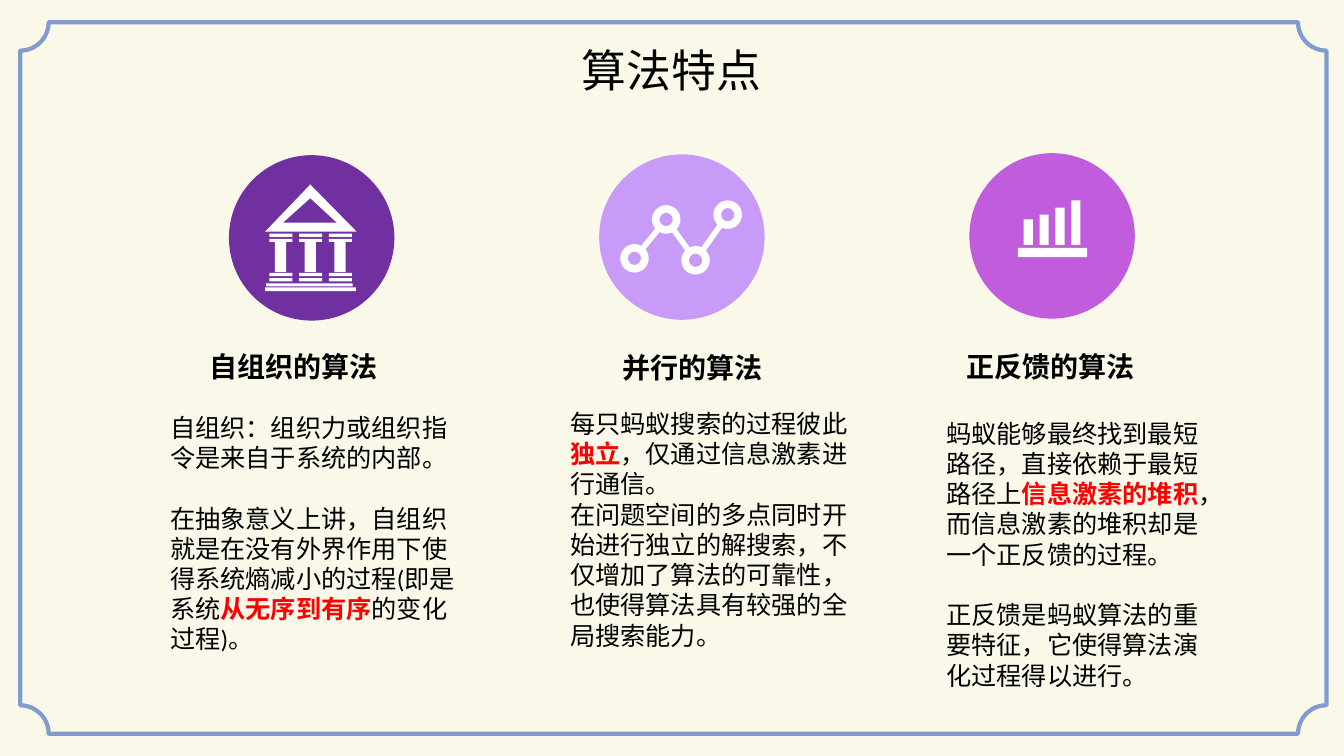
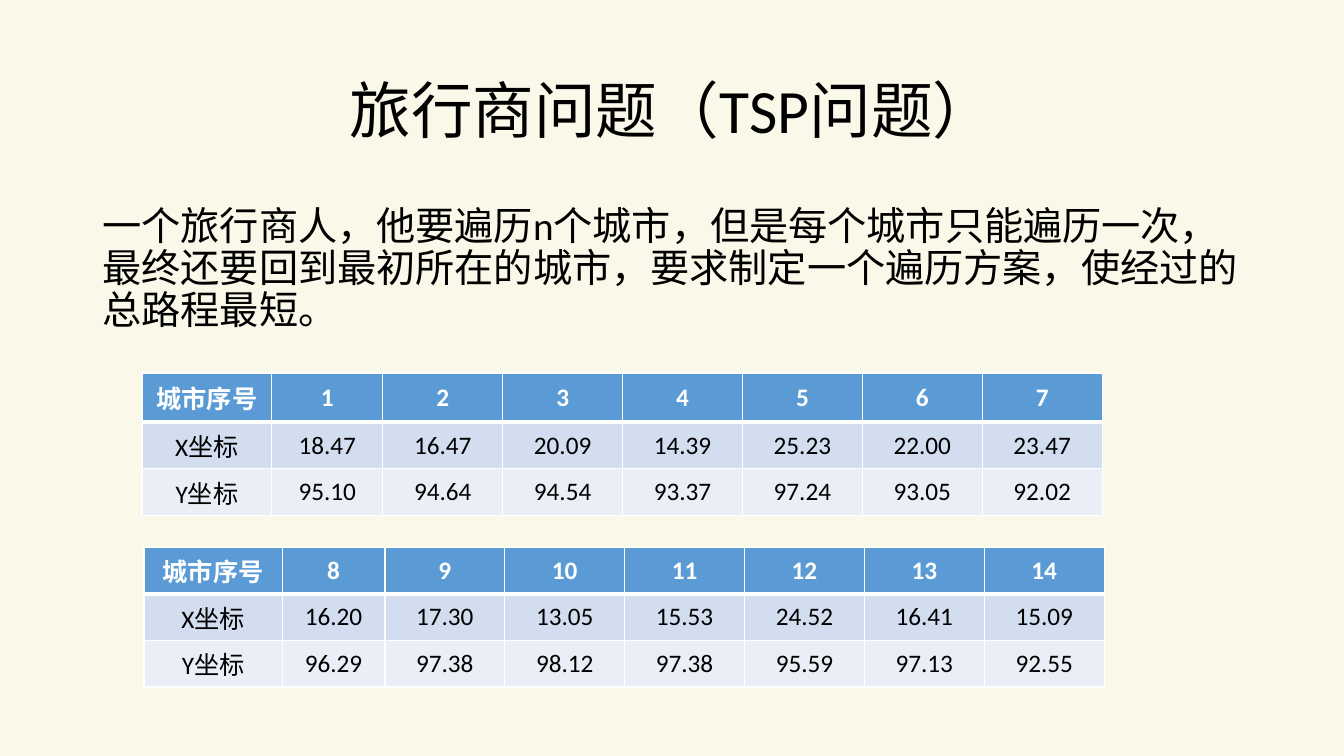
from dataclasses import dataclass
from itertools import pairwise

from pptx import Presentation
from pptx import util as u
from pptx.dml import color as c
from pptx.enum import lang, shapes, text
from pptx.oxml import xmlchemy as x

# Content; words between asterisks are emphasised
FEATURES_TITLE = "算法特点"
FEATURES = [
    {
        "heading": "自组织的算法",
        "paragraphs": [
            "自组织：组织力或组织指令是来自于系统的内部。",
            "在抽象意义上讲，自组织就是在没有外界作用下使得系统熵减小的过程(即是系统*从无序到有序*的变化过程)。",
        ],
        "gap": 21.6,
        "circle_top": 3.91,
        "heading_box": (5.03, 8.69, 4.78, 1.12),
        "body_box": (4.04, 10.26, 7.85, 6.4),
    },
    {
        "heading": "并行的算法",
        "paragraphs": [
            "每只蚂蚁搜索的过程彼此*独立*，仅通过信息激素进行通信。",
            "在问题空间的多点同时开始进行独立的解搜索，不仅增加了算法的可靠性，也使得算法具有较强的全局搜索能力。",
        ],
        "gap": 0,
        "circle_top": 3.89,
        "heading_box": (15.44, 8.71, 4.09, 1.12),
        "body_box": (14.12, 10.16, 7.85, 6.4),
    },
    {
        "heading": "正反馈的算法",
        "paragraphs": [
            "蚂蚁能够最终找到最短路径，直接依赖于最短路径上*信息激素的堆积*，而信息激素的堆积却是一个正反馈的过程。",
            "正反馈是蚂蚁算法的重要特征，它使得算法演化过程得以进行。",
        ],
        "gap": 21.6,
        "circle_top": 3.86,
        "heading_box": (24.1, 8.69, 4.83, 1.12),
        "body_box": (23.6, 10.41, 7.24, 7.19),
    },
]

TSP_TITLE = "旅行商问题（TSP问题）"
TSP_PROBLEM = (
    "一个旅行商人，他要遍历n个城市，但是每个城市只能遍历一次，"
    "最终还要回到最初所在的城市，要求制定一个遍历方案，使经过的总路程最短。"
)
ROW_LABELS = ("城市序号", "X坐标", "Y坐标")
CITY_TABLES = [
    {
        "first_city": 1,
        "x": (18.47, 16.47, 20.09, 14.39, 25.23, 22.00, 23.47),
        "y": (95.10, 94.64, 94.54, 93.37, 97.24, 93.05, 92.02),
        "box": (3.58, 9.4, 24.2, 3.28),
        "first_columns": (3.27, 2.8),
        "rows": (1.24, 0.86, 1.04),
    },
    {
        "first_city": 8,
        "x": (16.20, 17.30, 13.05, 15.53, 24.52, 16.41, 15.09),
        "y": (96.29, 97.38, 98.12, 97.38, 95.59, 97.13, 92.55),
        "box": (3.63, 13.79, 24.2, 3.1),
        "first_columns": (3.48, 2.59),
        "rows": (1.04, 1.04, 1.04),
    },
]


# Theme
@dataclass(frozen=True)
class Theme:
    font: str = "Calibri"
    background: str = "FAF8E9"
    ink: str = "000000"
    white: str = "FFFFFF"
    emphasis: str = "FF0000"
    frame: str = "829BCF"
    circles: tuple = ("7030A0", "C79BF7", "C15CDC")
    table_rows: tuple = ("5B9BD5", "D2DEEF", "EAEFF7")
    title: int = 44
    small_title: int = 32
    lead: int = 28
    heading: int = 20
    body: int = 18


THEME = Theme()
SLIDE_SIZE = (33.87, 19.05)
CIRCLE_SIZE = 4.17
CIRCLE_LEFT, CIRCLE_STEP = 5.77, 9.33


def rgb(value):
    return c.RGBColor.from_string(value)


def lengths(values):
    return [u.Cm(value) for value in values]


def add_element(parent, tag, **attributes):
    element = x.OxmlElement(tag)
    for name, value in attributes.items():
        element.set(name, str(value))
    parent.append(element)
    return element


# Text
def write_text(frame, paragraphs, size=THEME.body, color=THEME.ink, bold=False,
               align=None, spacing=None, gap=0, first_gap=0):
    """Fill a text frame; words between asterisks become bold and red."""
    for index, content in enumerate(paragraphs):
        paragraph = frame.add_paragraph() if index else frame.paragraphs[0]
        paragraph.alignment = align
        paragraph.line_spacing = spacing
        paragraph.space_before = u.Pt(gap if index else first_gap)
        for position, words in enumerate(content.split("*")):
            emphasised = position % 2 == 1
            run = paragraph.add_run()
            run.text = words
            font = run.font
            font.name, font.size = THEME.font, u.Pt(size)
            font.bold = bold or emphasised
            font.color.rgb = rgb(THEME.emphasis if emphasised else color)
            font.language_id = lang.MSO_LANGUAGE_ID.SIMPLIFIED_CHINESE


def place_placeholder(placeholder, box, anchor, paragraphs, **style):
    placeholder.left, placeholder.top, placeholder.width, placeholder.height = lengths(box)
    frame = placeholder.text_frame
    frame.auto_size = text.MSO_AUTO_SIZE.NONE
    frame.vertical_anchor = anchor
    write_text(frame, paragraphs, **style)


def add_text_box(slide, box, paragraphs, wrap=True, **style):
    frame = slide.shapes.add_textbox(*lengths(box)).text_frame
    frame.word_wrap = wrap
    frame.auto_size = text.MSO_AUTO_SIZE.SHAPE_TO_FIT_TEXT
    write_text(frame, paragraphs, **style)


# Icons: coordinates are measured from the corner of the circle
class Icon:
    def __init__(self, slide, left, top, color):
        self.shapes = slide.shapes.add_group_shape().shapes
        self.left, self.top, self.color = left, top, color
        self.ellipse(0, 0, CIRCLE_SIZE, color)

    def point(self, across, down):
        return u.Cm(self.left + across), u.Cm(self.top + down)

    def paint(self, shape, color):
        shape.shadow.inherit = False
        shape.fill.solid()
        shape.fill.fore_color.rgb = rgb(color)
        shape.line.fill.background()

    def ellipse(self, across, down, size, color):
        shape = self.shapes.add_shape(shapes.MSO_SHAPE.OVAL, *self.point(across, down),
                                      u.Cm(size), u.Cm(size))
        self.paint(shape, color)

    def bar(self, across, down, width, height):
        shape = self.shapes.add_shape(shapes.MSO_SHAPE.RECTANGLE, *self.point(across, down),
                                      u.Cm(width), u.Cm(height))
        self.paint(shape, THEME.white)

    def polygon(self, points, color):
        start, *others = [self.point(*point) for point in points]
        builder = self.shapes.build_freeform(*start)
        builder.add_line_segments(others, close=True)
        self.paint(builder.convert_to_shape(), color)

    def link(self, start, end):
        connector = self.shapes.add_connector(shapes.MSO_CONNECTOR.STRAIGHT,
                                              *self.point(*start), *self.point(*end))
        connector.line.color.rgb = rgb(THEME.white)
        connector.line.width = u.Pt(4)
        add_element(connector._element.spPr, "a:effectLst")


def draw_temple(icon):
    icon.polygon([(0.91, 1.93), (2.05, 0.74), (3.22, 1.93)], THEME.white)
    icon.polygon([(1.37, 1.7), (2.05, 1.09), (2.71, 1.7)], icon.color)
    for column in range(3):
        left = 1.02 + 0.75 * column
        for slab_top in (1.98, 2.11, 2.97, 3.1):
            icon.bar(left, slab_top, 0.58, 0.08)
        icon.bar(left + 0.14, 2.16, 0.28, 0.79)
    icon.bar(0.94, 3.23, 2.18, 0.08)
    icon.bar(0.91, 3.33, 2.29, 0.1)


def draw_network(icon):
    nodes = [(0.89, 2.62), (1.69, 1.64), (2.43, 2.67), (3.24, 1.52)]
    for start, end in pairwise(nodes):
        icon.link(start, end)
    for size, color in ((0.72, THEME.white), (0.33, icon.color)):
        for across, down in nodes:
            icon.ellipse(across - size / 2, down - size / 2, size, color)


def draw_bars(icon):
    icon.bar(1.22, 2.39, 1.75, 0.23)
    for index, height in enumerate((0.64, 0.76, 0.94, 1.12)):
        icon.bar(1.37 + 0.4 * index, 2.31 - height, 0.23, height)


# Tables
def set_borders(cell, **widths):
    properties = cell._tc.get_or_add_tcPr()
    for side in ("L", "R", "T", "B"):
        line = add_element(properties, f"a:ln{side}", w=u.Pt(widths.get(side, 1)))
        add_element(add_element(line, "a:solidFill"), "a:srgbClr", val=THEME.white)


def add_city_table(slide, data):
    cities = range(data["first_city"], data["first_city"] + len(data["x"]))
    values = [map(str, cities)]
    values += [[f"{value:.2f}" for value in data[axis]] for axis in ("x", "y")]
    rows = [[label, *row] for label, row in zip(ROW_LABELS, values)]
    frame = slide.shapes.add_table(len(rows), len(rows[0]), *lengths(data["box"]))
    table = frame.table

    first = data["first_columns"]
    rest = len(rows[0]) - len(first)
    widths = [*first, *[(data["box"][2] - sum(first)) / rest] * rest]
    for column, width in zip(table.columns, widths):
        column.width = u.Cm(width)
    for row, height in zip(table.rows, data["rows"]):
        row.height = u.Cm(height)
    frame.height = u.Cm(data["box"][3])

    for r, row in enumerate(rows):
        for k, content in enumerate(row):
            cell = table.cell(r, k)
            set_borders(cell, B=3 if r == 0 else 1, T=3 if r == 1 else 1)
            cell.fill.solid()
            cell.fill.fore_color.rgb = rgb(THEME.table_rows[r])
            cell.vertical_anchor = text.MSO_ANCHOR.MIDDLE
            write_text(cell.text_frame, [content], bold=r == 0, align=text.PP_ALIGN.CENTER,
                       color=THEME.ink if r else THEME.white)


# Slides
def build_features(presentation):
    slide = presentation.slides.add_slide(presentation.slide_layouts[5])
    place_placeholder(slide.shapes.title, (3.02, 0.94, 27.81, 1.63), text.MSO_ANCHOR.TOP,
                      [FEATURES_TITLE], size=THEME.small_title, align=text.PP_ALIGN.CENTER)
    drawings = (draw_temple, draw_network, draw_bars)
    for index, (feature, draw) in enumerate(zip(FEATURES, drawings)):
        draw(Icon(slide, CIRCLE_LEFT + CIRCLE_STEP * index, feature["circle_top"],
                  THEME.circles[index]))
        add_text_box(slide, feature["heading_box"], [feature["heading"]], wrap=False,
                     size=THEME.heading, bold=True)
        add_text_box(slide, feature["body_box"], feature["paragraphs"], gap=feature["gap"])

    frame = slide.shapes.add_shape(shapes.MSO_SHAPE.PLAQUE, *lengths((0.51, 0.56, 32.92, 17.93)))
    frame.adjustments[0] = 0.04
    frame.shadow.inherit = False
    frame.fill.background()
    frame.line.color.rgb = rgb(THEME.frame)
    frame.line.width = u.Pt(3)


def build_tsp(presentation):
    slide = presentation.slides.add_slide(presentation.slide_layouts[1])
    place_placeholder(slide.shapes.title, (2.33, 1.01, 29.21, 3.68), text.MSO_ANCHOR.MIDDLE,
                      [TSP_TITLE], size=THEME.title, align=text.PP_ALIGN.CENTER, spacing=0.9)
    body = slide.placeholders[1]
    place_placeholder(body, (2.33, 5.07, 29.21, 12.09), text.MSO_ANCHOR.TOP,
                      [TSP_PROBLEM], size=THEME.lead, spacing=0.9, first_gap=10)
    properties = body.text_frame.paragraphs[0]._p.get_or_add_pPr()
    properties.set("marL", "0")
    properties.set("indent", "0")
    add_element(properties, "a:buNone")
    for data in CITY_TABLES:
        add_city_table(slide, data)


def main():
    presentation = Presentation()
    presentation.slide_width, presentation.slide_height = lengths(SLIDE_SIZE)
    background = presentation.slide_master.background.fill
    background.solid()
    background.fore_color.rgb = rgb(THEME.background)
    build_features(presentation)
    build_tsp(presentation)
    presentation.save("out.pptx")


if __name__ == "__main__":
    main()
